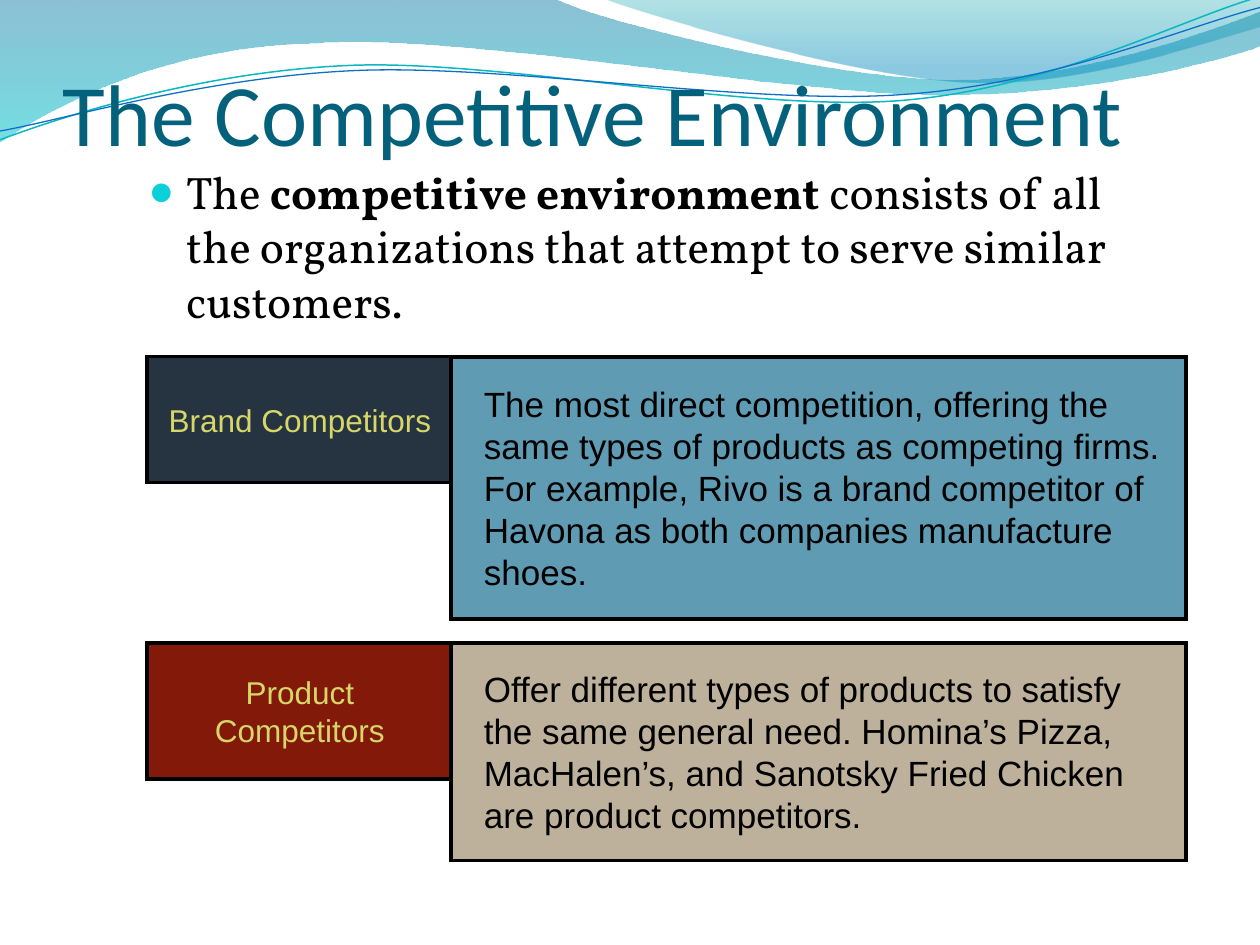
from dataclasses import dataclass

from lxml import etree
from pptx import Presentation
from pptx.dml.color import RGBColor
from pptx.enum.shapes import MSO_SHAPE
from pptx.enum.text import MSO_ANCHOR, PP_ALIGN
from pptx.oxml.ns import qn
from pptx.util import Inches, Pt

RECTANGLE = MSO_SHAPE.RECTANGLE
TOP, MIDDLE, BOTTOM = MSO_ANCHOR.TOP, MSO_ANCHOR.MIDDLE, MSO_ANCHOR.BOTTOM
LEFT, CENTER = PP_ALIGN.LEFT, PP_ALIGN.CENTER


@dataclass(frozen=True)
class Theme:
    title_font: str = "Calibri"
    body_font: str = "Vollkorn"
    box_font: str = "Arial"
    title_size: int = 50
    body_size: int = 26
    label_size: int = 18
    detail_size: int = 20
    title: str = "04617B"
    text: str = "000000"
    label: str = "D7D769"
    bullet: str = "0BD0D9"
    navy: str = "263340"
    blue: str = "5F9BB2"
    red: str = "821909"
    tan: str = "BDB19B"
    teal_line: str = "0AB8BF"
    blue_line: str = "0F6FC6"
    # Gradient stops: position, colour, opacity in percent
    wide_wave: tuple = ((0, "0074A1", 45), (1, "00C6CF", 55))
    right_wave: tuple = ((0, "00A1A9", 30), (0.8, "008BBF", 45))


class SlideBuilder:
    def __init__(self, slide, theme):
        self.slide = slide
        self.theme = theme

    def outline(self, start, segments, close):
        """Draw line ends (2 numbers) and Bezier segments (6 numbers)."""
        builder = self.slide.shapes.build_freeform(*map(Inches, start))
        ends = [tuple(map(Inches, segment[-2:])) for segment in segments]
        builder.add_line_segments(ends, close=close)
        shape = builder.convert_to_shape()
        shape.shadow.inherit = False
        lines = list(shape._element.spPr.iter(qn("a:lnTo")))
        for line, segment in zip(lines, segments):
            if len(segment) == 6:
                line.addnext(self.bezier(segment, shape.left, shape.top))
                line.getparent().remove(line)
        return shape

    def bezier(self, segment, left, top):
        element = etree.Element(qn("a:cubicBezTo"))
        for x, y in zip(segment[::2], segment[1::2]):
            etree.SubElement(element, qn("a:pt"),
                             x=str(Inches(x) - left), y=str(Inches(y) - top))
        return element

    def wave(self, start, segments, stops):
        shape = self.outline(start, segments, close=True)
        shape.line.fill.background()
        shape.fill.gradient()
        shape.fill.gradient_angle = 270
        for stop, (position, color, _) in zip(shape.fill.gradient_stops, stops):
            stop.position = position
            stop.color.rgb = RGBColor.from_string(color)
        colors = shape._element.spPr.iter(qn("a:srgbClr"))
        for element, (_, _, opacity) in zip(colors, stops):
            etree.SubElement(element, qn("a:alpha"), val=str(opacity * 1000))

    def curve(self, start, segments, color, width):
        shape = self.outline(start, segments, close=False)
        shape.fill.background()
        shape.line.color.rgb = RGBColor.from_string(color)
        shape.line.width = Pt(width)

    def frame(self, shape, anchor, insets=(0.1, 0.05, 0.1, 0.05)):
        text_frame = shape.text_frame
        text_frame.word_wrap = True
        text_frame.vertical_anchor = anchor
        (text_frame.margin_left, text_frame.margin_top,
         text_frame.margin_right, text_frame.margin_bottom) = map(Inches, insets)
        return text_frame

    def indent(self, paragraph, left, first):
        properties = paragraph._p.get_or_add_pPr()
        properties.set("marL", str(Inches(left)))
        properties.set("indent", str(Inches(first)))
        return properties

    def style(self, paragraph, font_name, size, color, alignment=LEFT):
        paragraph.alignment = alignment
        for run in paragraph.runs:
            run.font.name = font_name
            run.font.size = Pt(size)
            run.font.color.rgb = RGBColor.from_string(color)

    def title(self, text, box):
        shape = self.slide.shapes.add_textbox(*map(Inches, box))
        text_frame = self.frame(shape, BOTTOM, (0, 0.05, 0, 0))
        text_frame.text = text
        theme = self.theme
        self.style(text_frame.paragraphs[0], theme.title_font,
                   theme.title_size, theme.title)

    def bullet(self, parts, box):
        """Add one bulleted paragraph from (text, bold) parts."""
        theme = self.theme
        shape = self.slide.shapes.add_textbox(*map(Inches, box))
        paragraph = self.frame(shape, TOP).paragraphs[0]
        properties = self.indent(paragraph, 0.3, -0.3)
        color = etree.SubElement(properties, qn("a:buClr"))
        etree.SubElement(color, qn("a:srgbClr"), val=theme.bullet)
        etree.SubElement(properties, qn("a:buSzPct"), val="95000")
        etree.SubElement(properties, qn("a:buFont"), typeface=theme.box_font)
        etree.SubElement(properties, qn("a:buChar"), char="●")
        for text, bold in parts:
            run = paragraph.add_run()
            run.text = text
            run.font.bold = bold
        self.style(paragraph, theme.body_font, theme.body_size, theme.text)

    def rectangle(self, box, fill):
        shape = self.slide.shapes.add_shape(RECTANGLE, *map(Inches, box))
        shape.shadow.inherit = False
        shape.fill.solid()
        shape.fill.fore_color.rgb = RGBColor.from_string(fill)
        shape.line.color.rgb = RGBColor.from_string(self.theme.text)
        shape.line.width = Pt(2.25)
        line = shape._element.spPr.find(qn("a:ln"))
        etree.SubElement(line, qn("a:miter"), lim="800000")
        return shape

    def label(self, text, box, fill):
        text_frame = self.frame(self.rectangle(box, fill), MIDDLE)
        text_frame.text = text
        theme = self.theme
        self.style(text_frame.paragraphs[0], theme.box_font,
                   theme.label_size, theme.label, CENTER)

    def detail(self, text, box, fill):
        text_frame = self.frame(self.rectangle(box, fill), MIDDLE,
                                (0.14, 0.05, 0.1, 0.05))
        text_frame.text = text
        paragraph = text_frame.paragraphs[0]
        self.indent(paragraph, 0.12, 0)
        theme = self.theme
        self.style(paragraph, theme.box_font, theme.detail_size, theme.text)


def main():
    presentation = Presentation()
    presentation.slide_width, presentation.slide_height = Inches(10), Inches(7.5)
    theme = Theme()
    builder = SlideBuilder(
        presentation.slides.add_slide(presentation.slide_layouts[6]), theme)

    builder.wave((0, 0), [
        (4.4, -0.01), (4.76, 0.17, 6.64, 0.63, 7.58, 0.63),
        (8.53, 0.63, 9.58, 0.26, 10, 0.09), (10.01, 0.36),
        (9.83, 0.44, 8.7, 0.76, 7.46, 0.75), (6.22, 0.75, 3.82, 0.28, 2.57, 0.34),
        (1.29, 0.36, 0.46, 0.83, -0.01, 1.13), (0, 0)], theme.wide_wave)
    builder.wave((4.79, -0.01), [
        (5.09, 0.11, 6.82, 0.62, 7.69, 0.65), (8.56, 0.69, 9.61, 0.32, 10, 0.21),
        (10, 0), (4.79, -0.01)], theme.right_wave)
    builder.curve((0, 1.11), [
        (0.48, 0.93, 1.58, 0.57, 2.77, 0.52), (3.95, 0.47, 5.93, 0.89, 7.13, 0.8),
        (8.33, 0.71, 9.38, 0.15, 9.98, -0.02)], theme.teal_line, 0.85)
    builder.curve((0, 1.04), [
        (0.47, 0.96, 1.64, 0.61, 2.83, 0.56), (4.03, 0.51, 5.97, 0.84, 7.17, 0.75),
        (8.36, 0.67, 9.41, 0.21, 10, 0.06)], theme.blue_line, 0.75)

    builder.title("The Competitive Environment", (0.5, 0.05, 9, 1.25))
    builder.bullet([
        ("The ", False), ("competitive environment ", True),
        ("consists of all the organizations that attempt to serve similar customers.",
         False)], (1.08, 1.25, 8.33, 4.92))

    rows = [
        (5.1, "Product Competitors", 1.08, theme.red,
         "Offer different types of products to satisfy the same general need. "
         "Homina’s Pizza, MacHalen’s, and Sanotsky Fried Chicken are product "
         "competitors.", 1.73, theme.tan),
        (2.83, "Brand Competitors", 1, theme.navy,
         "The most direct competition, offering the same types of products as "
         "competing firms. For example, Rivo is a brand competitor of Havona as "
         "both companies manufacture shoes.", 2.08, theme.blue),
    ]
    for top, name, name_height, name_fill, text, text_height, text_fill in rows:
        builder.label(name, (1.17, top, 2.42, name_height), name_fill)
        builder.detail(text, (3.58, top, 5.83, text_height), text_fill)

    presentation.save("out.pptx")


if __name__ == "__main__":
    main()
